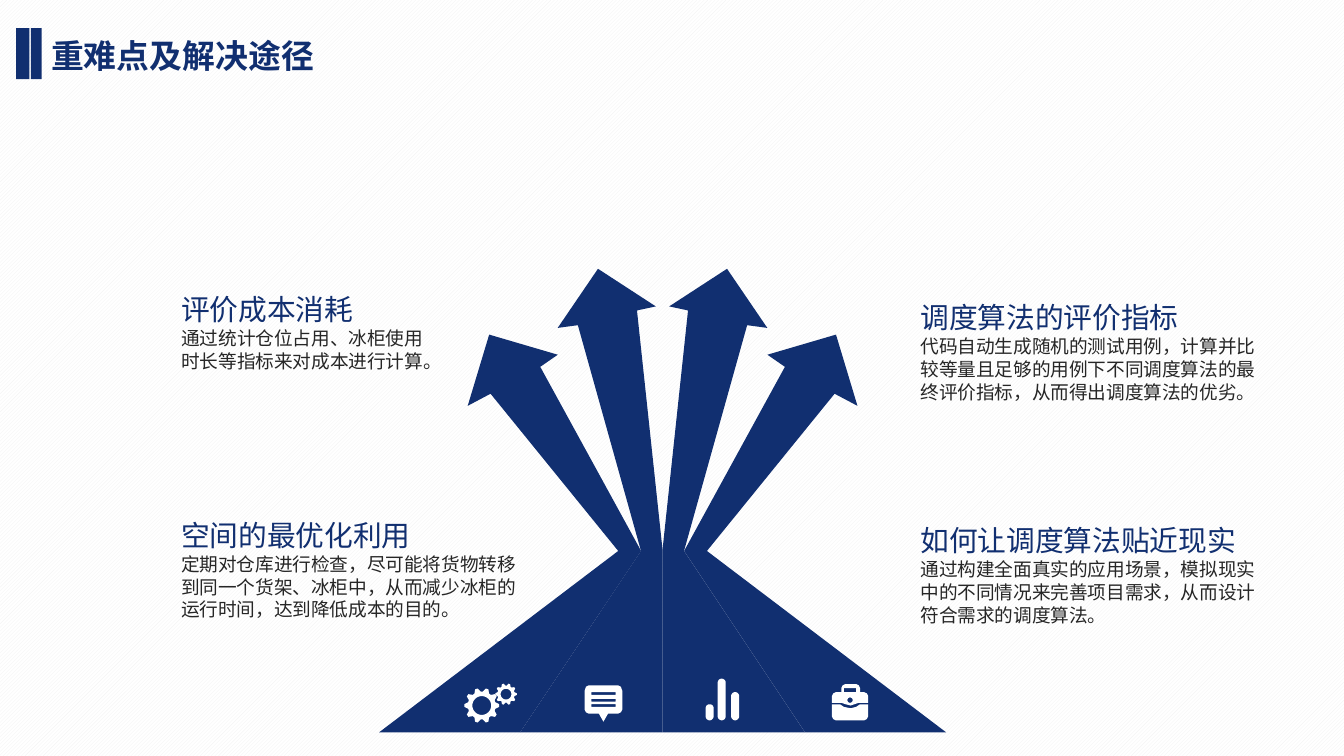
"""Build the slide on key difficulties and their solutions."""
import math

import pptx
import pptx.dml.color
import pptx.enum.dml
import pptx.enum.shapes
import pptx.enum.text
import pptx.oxml.ns
import pptx.util
from lxml import etree

Inches = pptx.util.Inches
Pt = pptx.util.Pt
SHAPES = pptx.enum.shapes.MSO_SHAPE
NAVY = pptx.dml.color.RGBColor(0x11, 0x2F, 0x70)
INK = pptx.dml.color.RGBColor(0x26, 0x26, 0x26)
WHITE = pptx.dml.color.RGBColor(0xFF, 0xFF, 0xFF)
HATCH = pptx.dml.color.RGBColor(0xF2, 0xF2, 0xF2)
FONT = "Noto Sans CJK SC"
WIDTH = 10
HEIGHT = WIDTH * 9 / 16
AXIS = 4.93
LEFT, RIGHT = 1.25, 6.75
LINE_RATIO = 1.22

TITLE = "重难点及解决途径"
POINTS = [
    (LEFT, 2.12, 2.02, 0.7, "评价成本消耗",
     "通过统计仓位占用、冰柜使用时长等指标来对成本进行计算。"),
    (RIGHT, 2.18, 2.81, 0.87, "调度算法的评价指标",
     "代码自动生成随机的测试用例，计算并比较等量且足够的用例下不同调度算法的最终评价指标，从而得出调度算法的优劣。"),
    (RIGHT, 3.84, 2.81, 0.87, "如何让调度算法贴近现实",
     "通过构建全面真实的应用场景，模拟现实中的不同情况来完善项目需求，从而设计符合需求的调度算法。"),
    (LEFT, 3.8, 2.73, 0.87, "空间的最优化利用",
     "定期对仓库进行检查，尽可能将货物转移到同一个货架、冰柜中，从而减少冰柜的运行时间，达到降低成本的目的。"),
]
TITLE_BARS = [(0.12, 0.1), (0.23, 0.08)]
LEFT_ARROWS = [
    [(3.65, 2.93), (3.48, 3.02), (3.64, 2.49), (4.15, 2.64), (4.02, 2.73),
     (4.77, 4.1), (3.87, 5.45), (2.82, 5.45), (4.6, 4.1)],
    [(4.88, 2.28), (4.45, 2), (4.15, 2.44), (4.3, 2.42), (4.77, 4.1),
     (3.87, 5.45), (AXIS, 5.45), (AXIS, 4.09), (4.74, 2.31)],
]
GEARS = [(3.585, 5.25, 0.13, 0.07), (3.765, 5.165, 0.08, 0.04)]
GEAR_TEETH = 10
CASE_BASE = [(6.19, 5.24), (6.25, 5.24), (6.28, 5.26), (6.33, 5.27), (6.37, 5.26),
             (6.4, 5.24), (6.46, 5.24), (6.46, 5.33), (6.45, 5.35), (6.43, 5.36),
             (6.22, 5.36), (6.2, 5.35), (6.19, 5.33)]
CASE_LID = [(6.19, 5.23), (6.19, 5.18), (6.2, 5.16), (6.22, 5.15), (6.26, 5.15),
            (6.26, 5.12), (6.27, 5.1), (6.29, 5.09), (6.37, 5.09), (6.39, 5.1),
            (6.4, 5.12), (6.4, 5.15), (6.43, 5.15), (6.45, 5.16), (6.46, 5.18),
            (6.46, 5.23), (6.39, 5.23), (6.36, 5.24), (6.33, 5.25), (6.29, 5.24),
            (6.26, 5.23)]
BUBBLE_TAIL = [(4.45, 5.3), (4.53, 5.3), (4.49, 5.37)]
BUBBLE = [(4.38, 5.1), (4.6, 5.1), (4.62, 5.11), (4.63, 5.14), (4.63, 5.28),
          (4.62, 5.3), (4.6, 5.31), (4.38, 5.31), (4.36, 5.3), (4.35, 5.28),
          (4.35, 5.14), (4.36, 5.11)]
BUBBLE_LINES = [5.15, 5.2, 5.24]
CHART_BARS = [(5.34, 0.31), (5.25, 0.12), (5.44, 0.21)]


def paint(shape, color):
    shape.shadow.inherit = False
    shape.fill.solid()
    shape.fill.fore_color.rgb = color
    shape.line.fill.background()


def outline(slide, color, *contours):
    points = [[(Inches(x), Inches(y)) for x, y in contour] for contour in contours]
    builder = slide.shapes.build_freeform(*points[0][0])
    builder.add_line_segments(points[0][1:], close=True)
    for hole in points[1:]:
        builder.move_to(*hole[0])
        builder.add_line_segments(hole[1:], close=True)
    paint(builder.convert_to_shape(), color)


def ring(x, y, radii, count):
    angles = [2 * math.pi * (step - 0.5) / count for step in range(count)]
    return [(x + radii[i % len(radii)] * math.cos(a),
             y + radii[i % len(radii)] * math.sin(a)) for i, a in enumerate(angles)]


def box(left, top, width, height):
    right, bottom = left + width, top + height
    return [(left, top), (left, bottom), (right, bottom), (right, top)]


def pill(left, top, width, height):
    radius = width / 2
    arc = ring(0, 0, (radius,), 24)
    return [(left + radius + x, y + (top + radius if y < 0 else top + height - radius))
            for x, y in arc]


def write(paragraph, text, size, color, bold=False):
    run = paragraph.add_run()
    run.text = text
    font = paragraph.font
    font.name, font.size, font.bold = FONT, Pt(size), bold
    font.color.rgb = color
    paragraph.alignment = pptx.enum.text.PP_ALIGN.LEFT
    paragraph.line_spacing = Pt(round(size * LINE_RATIO, 1))
    east_asian = etree.SubElement(run.font._element, pptx.oxml.ns.qn("a:ea"))
    east_asian.set("typeface", FONT)


def add_title(slide):
    title = slide.shapes.title
    title.left, title.top, title.width, title.height = map(Inches, (0.28, 0.21, 2.42, 0.4))
    title.text_frame.vertical_anchor = pptx.enum.text.MSO_ANCHOR.MIDDLE
    title.text_frame.auto_size = pptx.enum.text.MSO_AUTO_SIZE.NONE
    write(title.text_frame.paragraphs[0], TITLE, 17.6, NAVY, True)
    for left, width in TITLE_BARS:
        bar = slide.shapes.add_shape(
            SHAPES.RECTANGLE, *map(Inches, (left, 0.21, width, 0.38)))
        paint(bar, NAVY)


def add_arrows(slide):
    for arrow in LEFT_ARROWS:
        outline(slide, NAVY, arrow)
    for arrow in LEFT_ARROWS:
        outline(slide, NAVY, [(2 * AXIS - x, y) for x, y in arrow])


def add_icons(slide):
    for x, y, radius, hole in GEARS:
        root = 0.8 * radius
        teeth = ring(x, y, (radius, radius, root, root), 4 * GEAR_TEETH)
        outline(slide, WHITE, teeth, ring(x, y, (hole,), 36))
    outline(slide, WHITE, CASE_BASE)
    outline(slide, WHITE, CASE_LID, box(6.28, 5.12, 0.09, 0.03),
            ring(6.325, 5.21, (0.02,), 24))
    outline(slide, WHITE, BUBBLE_TAIL)
    outline(slide, WHITE, BUBBLE, *[box(4.4, top, 0.18, 0.02) for top in BUBBLE_LINES])
    for left, height in CHART_BARS:
        outline(slide, WHITE, pill(left, 5.36 - height, 0.06, height))


def add_points(slide):
    for left, top, width, height, heading, detail in POINTS:
        frame = slide.shapes.add_textbox(*map(Inches, (left, top, width, height))).text_frame
        frame.word_wrap = True
        frame.auto_size = pptx.enum.text.MSO_AUTO_SIZE.SHAPE_TO_FIT_TEXT
        write(frame.paragraphs[0], heading, 15.4, NAVY)
        write(frame.add_paragraph(), detail, 10, INK)


def main():
    deck = pptx.Presentation()
    deck.slide_width, deck.slide_height = Inches(WIDTH), Inches(HEIGHT)
    slide = deck.slides.add_slide(deck.slide_layouts[5])
    backdrop = slide.background.fill
    backdrop.patterned()
    backdrop.pattern = pptx.enum.dml.MSO_PATTERN.LIGHT_UPWARD_DIAGONAL
    backdrop.fore_color.rgb, backdrop.back_color.rgb = HATCH, WHITE
    add_title(slide)
    add_arrows(slide)
    add_icons(slide)
    add_points(slide)
    deck.save("out.pptx")


if __name__ == "__main__":
    main()
